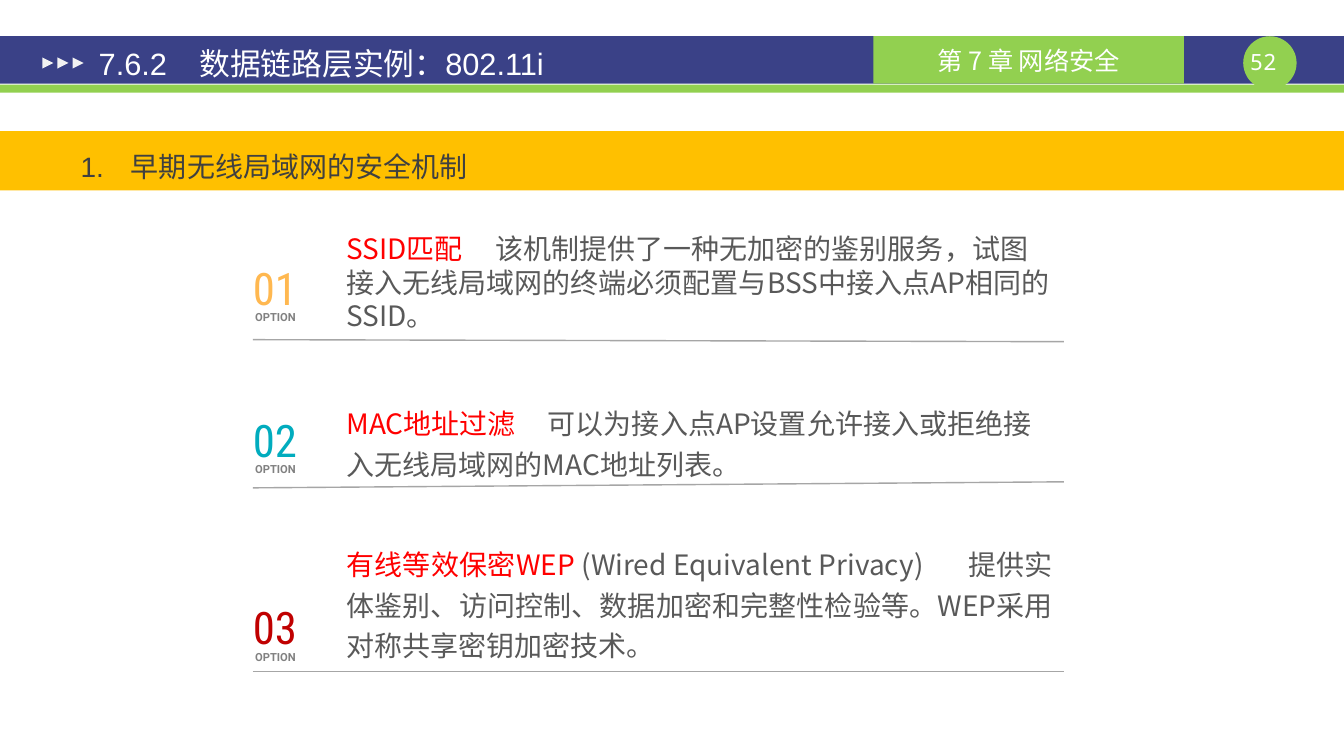
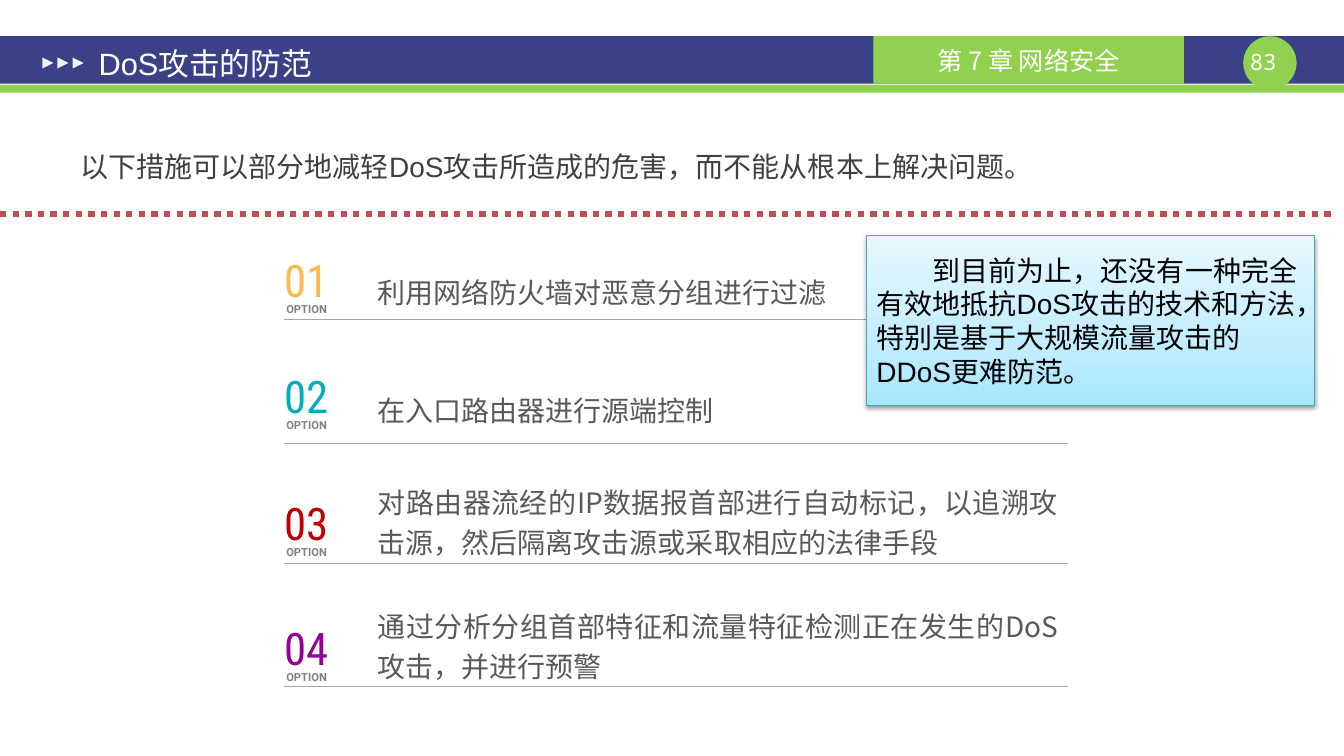
from copy import deepcopy
from dataclasses import dataclass

from lxml.etree import SubElement
from pptx import Presentation
from pptx.dml.color import RGBColor
from pptx.enum.dml import MSO_LINE
from pptx.enum.shapes import MSO_CONNECTOR, MSO_SHAPE as SHAPE
from pptx.enum.text import MSO_ANCHOR as ANCHOR, MSO_AUTO_SIZE, PP_ALIGN as ALIGN
from pptx.oxml.ns import qn
from pptx.util import Inches, Pt

# Shared palette and fonts
WHITE = RGBColor(0xFF, 0xFF, 0xFF)
BLACK = RGBColor(0, 0, 0)
NAVY = RGBColor(0x3A, 0x41, 0x87)
GREEN = RGBColor(0x92, 0xD0, 0x50)
PALE = RGBColor(0xF2, 0xF2, 0xF2)
AMBER = RGBColor(0xFF, 0xC0, 0x00)
DARK_GREY = RGBColor(0x40, 0x40, 0x40)
TEXT_GREY = RGBColor(0x59, 0x59, 0x59)
LABEL_GREY = RGBColor(0x81, 0x81, 0x81)
RULE_GREY = RGBColor(0xA6, 0xA6, 0xA6)
RED = RGBColor(0xFF, 0, 0)
BRICK = RGBColor(0xC0, 0x50, 0x4D)
CALLOUT_EDGE = RGBColor(0x46, 0xAA, 0xC5)
CALLOUT_STOPS = [
    (0, RGBColor(0xA7, 0xE6, 0xFF)),
    (0.35, RGBColor(0xC1, 0xED, 0xFF)),
    (1, RGBColor(0xE7, 0xF8, 0xFF)),
]
NUMBER_COLORS = [
    RGBColor(0xFF, 0xB8, 0x50),
    RGBColor(0x01, 0xAC, 0xBE),
    RGBColor(0xC0, 0, 0),
    RGBColor(0x96, 0, 0x96),
]
CJK = "Noto Sans CJK SC"
SLIDE_WIDTH = 13.34


@dataclass
class Option:
    """One numbered measure; vertical places are relative to its number."""
    top: float
    text_top: float
    rule_start: float
    rule_end: float
    text: str
    term: str = ""
    tab: float = 0
    spacing: float = 1.2
    align: ALIGN = ALIGN.LEFT


def box(left, top, width, height):
    return [Inches(value) for value in (left, top, width, height)]


def style_run(run, size, font, color, bold=False):
    run.font.size = Pt(size)
    run.font.name = font
    run.font.bold = bold
    run.font.color.rgb = color
    SubElement(run._r.get_or_add_rPr(), qn("a:ea")).set("typeface", CJK)


def style_text(frame, size, font, color, align=ALIGN.LEFT, bold=False):
    paragraph = frame.paragraphs[0]
    paragraph.alignment = align
    for run in paragraph.runs:
        style_run(run, size, font, color, bold)


def set_insets(frame, horizontal, vertical):
    frame.margin_left = frame.margin_right = Inches(horizontal)
    frame.margin_top = frame.margin_bottom = Inches(vertical)


def add_tab(paragraph, position):
    tabs = SubElement(paragraph._p.get_or_add_pPr(), qn("a:tabLst"))
    tab = SubElement(tabs, qn("a:tab"))
    tab.set("pos", str(Inches(position)))
    tab.set("algn", "l")


def add_block(slide, kind, place, color):
    block = slide.shapes.add_shape(kind, *box(*place))
    block.shadow.inherit = False
    block.fill.solid()
    block.fill.fore_color.rgb = color
    block.line.fill.background()
    return block


def add_line(slide, start, end, color, width):
    line = slide.shapes.add_connector(MSO_CONNECTOR.STRAIGHT, *box(*start, *end))
    line.line.color.rgb = color
    line.line.width = Pt(width)
    SubElement(line._element.spPr, qn("a:effectLst"))
    return line


def add_label(slide, place, text, size, font, color, align=ALIGN.LEFT, bold=False):
    """Text box without insets."""
    frame = slide.shapes.add_textbox(*box(*place)).text_frame
    frame.word_wrap = True
    set_insets(frame, 0, 0)
    frame.text = text
    style_text(frame, size, font, color, align, bold)
    return frame


def fill_placeholder(slide, holder, place, text, size, color, tab):
    """Move a template placeholder to the front and set its single line."""
    holder.left, holder.top, holder.width, holder.height = box(*place)
    frame = holder.text_frame
    frame.auto_size = MSO_AUTO_SIZE.NONE
    set_insets(frame, 0.13, 0.07)
    frame.text = text
    paragraph = frame.paragraphs[0]
    paragraph.space_before = Pt(0)
    properties = paragraph._p.get_or_add_pPr()
    properties.set("marL", "0")
    properties.set("indent", "0")
    SubElement(properties, qn("a:buNone"))
    if tab:
        add_tab(paragraph, tab)
    style_text(frame, size, "Arial", color)
    slide.shapes._spTree.append(holder._element)
    return frame


def draw_header(slide, page):
    # Bands, page number and chapter tag
    add_block(slide, SHAPE.RECTANGLE, (0, 0.36, SLIDE_WIDTH, 0.47), NAVY)
    add_block(slide, SHAPE.RECTANGLE, (0, 0.84, SLIDE_WIDTH, 0.08), GREEN)
    add_block(slide, SHAPE.OVAL, (12.34, 0.36, 0.53, 0.53), GREEN)
    add_label(slide, (12.34, 0.48, 0.53, 0.27), f"{page} ", 16,
              "Noto Sans Mono", WHITE, ALIGN.CENTER)
    chapter = add_block(slide, SHAPE.RECTANGLE, (8.67, 0.36, 3.08, 0.47), GREEN)
    chapter.text_frame.text = "第 7 章 网络安全"
    chapter.text_frame.vertical_anchor = ANCHOR.MIDDLE
    style_text(chapter.text_frame, 18, CJK, WHITE, ALIGN.CENTER)

    # Three arrowheads before the title
    for index in range(3):
        place = (0.42 + 0.15 * index, 0.57, 0.11, 0.11)
        add_block(slide, SHAPE.ISOSCELES_TRIANGLE, place, PALE).rotation = 90


def add_topic_slide(deck, page, title, lead, title_tab=0, lead_tab=0, banner=False):
    slide = deck.slides.add_slide(deck.slide_layouts[1])
    draw_header(slide, page)
    if banner:
        add_block(slide, SHAPE.RECTANGLE, (0, 1.3, SLIDE_WIDTH, 0.59), AMBER)
    title_frame = fill_placeholder(slide, slide.shapes.title, (0.85, 0.39, 5.83, 0.47),
                                   title, 22, WHITE, title_tab)
    title_frame.vertical_anchor = ANCHOR.MIDDLE
    lead_frame = fill_placeholder(slide, slide.placeholders[1], (0.67, 1.25, 12.01, 0.7),
                                  lead, 20, DARK_GREY, lead_tab)
    lead_frame.vertical_anchor = ANCHOR.TOP
    lead_frame.paragraphs[0].line_spacing = 1.5
    return slide


def draw_option(slide, left, width, text_width, number, option):
    top = option.top
    add_line(slide, (left, top + option.rule_start),
             (left + width, top + option.rule_end), RULE_GREY, 1)

    # Number with its caption
    digits = add_label(slide, (left, top, 0.49, 0.54), f"{number:02}", 32,
                       "Roboto Condensed", NUMBER_COLORS[number - 1])
    digits.vertical_anchor = ANCHOR.MIDDLE
    add_label(slide, (left - 0.09, top + 0.5, 0.63, 0.14), "OPTION", 8,
              "Roboto", LABEL_GREY, ALIGN.CENTER, bold=True)

    # Description, led by a red term where there is one
    frame = slide.shapes.add_textbox(
        *box(left + 0.83, top + option.text_top, text_width, 0.9)).text_frame
    frame.word_wrap = True
    paragraph = frame.paragraphs[0]
    paragraph.alignment = option.align
    paragraph.line_spacing = option.spacing
    if option.tab:
        add_tab(paragraph, option.tab)
    for words, color in ((option.term, RED), (option.text, TEXT_GREY)):
        if words:
            run = paragraph.add_run()
            run.text = words
            style_run(run, 20, CJK, color)


def draw_options(slide, left, width, text_width, options):
    for number, option in enumerate(options, 1):
        draw_option(slide, left, width, text_width, number, option)


def draw_callout(slide, place, text):
    callout = add_block(slide, SHAPE.RECTANGLE, place, WHITE)
    callout.line.color.rgb = CALLOUT_EDGE
    callout.line.width = Pt(0.75)

    # Three-stop gradient running upwards
    callout.fill.gradient()
    callout.fill.gradient_angle = 90
    stops = callout._element.spPr.find(qn("a:gradFill")).find(qn("a:gsLst"))
    stops.insert(1, deepcopy(stops[0]))
    for stop, (position, color) in zip(callout.fill.gradient_stops, CALLOUT_STOPS):
        stop.position = position
        stop.color.rgb = color

    # Soft shadow below
    effects = callout._element.spPr.find(qn("a:effectLst"))
    shadow = SubElement(effects, qn("a:outerShdw"), blurRad=str(Pt(3.1)),
                        dist=str(Pt(1.6)), dir="5400000", rotWithShape="0")
    shade = SubElement(shadow, qn("a:srgbClr"), val="000000")
    SubElement(shade, qn("a:alpha"), val="38000")

    frame = callout.text_frame
    frame.word_wrap = True
    frame.vertical_anchor = ANCHOR.MIDDLE
    frame.text = text
    frame.paragraphs[0]._p.get_or_add_pPr().set("indent", str(Inches(0.56)))
    style_text(frame, 20, "Arial", BLACK)


def build_wireless_slide(deck):
    slide = add_topic_slide(deck, 52, "7.6.2\t数据链路层实例：802.11i",
                            "1.\t早期无线局域网的安全机制", 0.91, 0.45, banner=True)
    draw_options(slide, 2.51, 8.05, 7.21, [
        Option(2.58, -0.33, 0.79, 0.81,
               "\t该机制提供了一种无加密的鉴别服务，试图接入无线局域网的终端必须配置与BSS中接入点AP相同的SSID。",
               "SSID匹配", 1.48, spacing=1),
        Option(4.09, -0.17, 0.75, 0.69,
               "\t可以为接入点AP设置允许接入或拒绝接入无线局域网的MAC地址列表。",
               "MAC地址过滤", 2),
        Option(5.95, -0.63, 0.71, 0.71,
               "(Wired Equivalent Privacy)\t提供实体鉴别、访问控制、数据加密和完整性检验等。WEP采用对称共享密钥加密技术。",
               "有线等效保密WEP ", 6.15, align=ALIGN.JUSTIFY),
    ])


def build_dos_slide(deck):
    slide = add_topic_slide(deck, 83, "DoS攻击的防范",
                            "以下措施可以部分地减轻DoS攻击所造成的危害，而不能从根本上解决问题。")
    draw_options(slide, 2.82, 7.78, 6.95, [
        Option(2.5, 0.12, 0.67, 0.67, "利用网络防火墙对恶意分组进行过滤"),
        Option(3.65, 0.14, 0.75, 0.75, "在入口路由器进行源端控制", align=ALIGN.JUSTIFY),
        Option(4.91, -0.21, 0.68, 0.68,
               "对路由器流经的IP数据报首部进行自动标记，以追溯攻击源，然后隔离攻击源或采取相应的法律手段",
               align=ALIGN.JUSTIFY),
        Option(6.15, -0.22, 0.66, 0.66,
               "通过分析分组首部特征和流量特征检测正在发生的DoS攻击，并进行预警",
               align=ALIGN.JUSTIFY),
    ])
    draw_callout(slide, (8.6, 2.34, 4.45, 1.68),
                 "到目前为止，还没有一种完全有效地抵抗DoS攻击的技术和方法，特别是基于大规模流量攻击的DDoS更难防范。")
    divider = add_line(slide, (0, 2.12), (13.22, 2.12), BRICK, 4.5)
    divider.line.dash_style = MSO_LINE.ROUND_DOT


def main():
    deck = Presentation()
    deck.slide_width = Inches(SLIDE_WIDTH)
    deck.slide_height = Inches(7.5)
    build_wireless_slide(deck)
    build_dos_slide(deck)
    deck.save("out.pptx")


if __name__ == "__main__":
    main()
